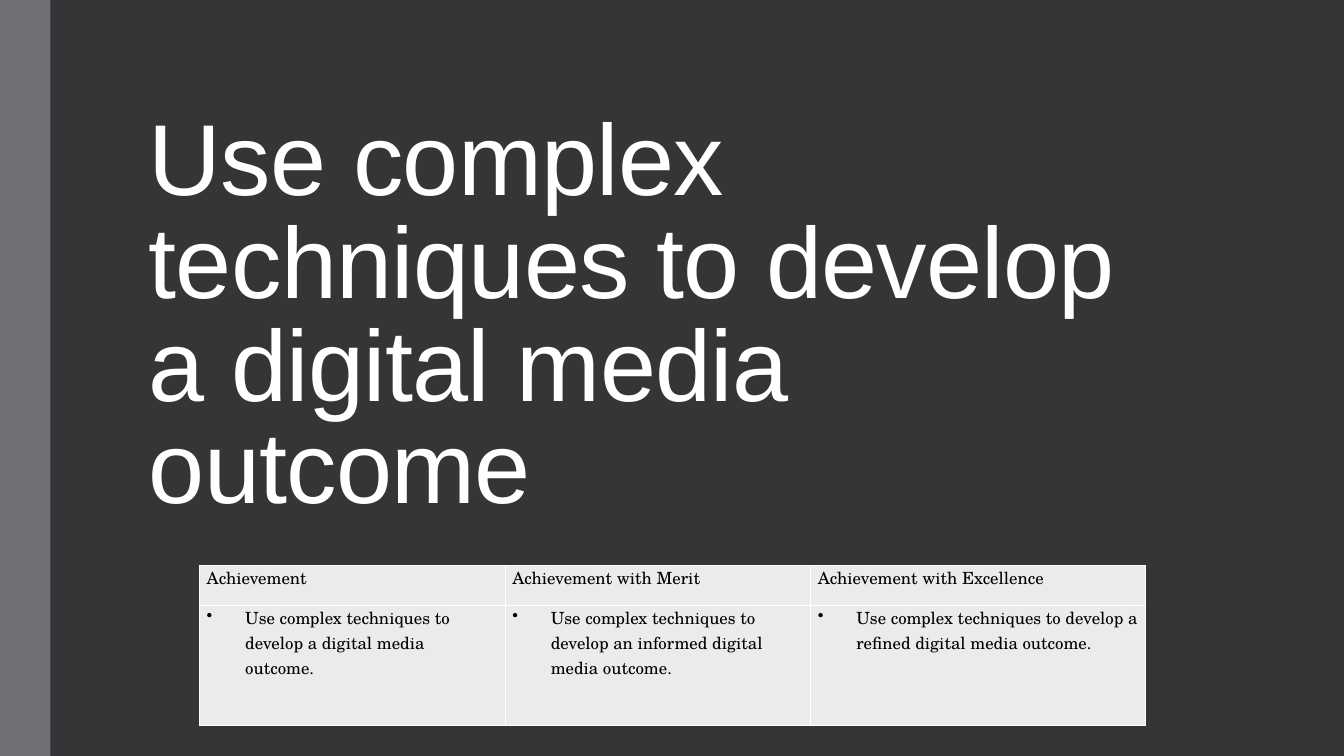
from lxml import etree
from pptx import Presentation
from pptx.dml.color import RGBColor
from pptx.enum.shapes import MSO_SHAPE
from pptx.enum.text import MSO_ANCHOR
from pptx.oxml.ns import qn
from pptx.util import Cm, Pt

RECTANGLE = MSO_SHAPE.RECTANGLE
BOTTOM = MSO_ANCHOR.BOTTOM
BORDER_SIDES = ("a:lnL", "a:lnR", "a:lnT", "a:lnB")


def color(hex_string):
    return RGBColor.from_string(hex_string)


def style_run(run, font_name, size, hex_string):
    run.font.name = font_name
    run.font.size = Pt(size)
    run.font.color.rgb = color(hex_string)


prs = Presentation()
prs.slide_width = Cm(33.87)
prs.slide_height = Cm(19.05)
slide = prs.slides.add_slide(prs.slide_layouts[6])
slide.background.fill.solid()
slide.background.fill.fore_color.rgb = color("353537")

side_bar = slide.shapes.add_shape(RECTANGLE, 0, 0, Cm(1.27), prs.slide_height)
side_bar.shadow.inherit = False
side_bar.fill.solid()
side_bar.fill.fore_color.rgb = color("6F6F74")
side_bar.line.fill.background()

title = slide.shapes.add_textbox(Cm(3.5), Cm(2.11), Cm(26.16), Cm(11.23)).text_frame
title.word_wrap = True
title.vertical_anchor = BOTTOM
title.text = "Use complex techniques to develop a digital media outcome"
heading = title.paragraphs[0]
heading.line_spacing = 0.85
style_run(heading.runs[0], "Arial", 72, "FFFFFF")
heading.runs[0].font._element.set("spc", "-50")

criteria = [
    ("Achievement", "Achievement with Merit", "Achievement with Excellence"),
    (
        "Use complex techniques to develop a digital media outcome.",
        "Use complex techniques to develop an informed digital media outcome.",
        "Use complex techniques to develop a refined digital media outcome.",
    ),
]
column_widths = (7.7, 7.7, 8.43)
row_heights = (1.01, 3.02)
grades = slide.shapes.add_table(
    len(row_heights), len(column_widths),
    Cm(5.03), Cm(14.25), Cm(sum(column_widths)), Cm(sum(row_heights)),
).table
grades.first_row = False
grades.horz_banding = False
for column, width in zip(grades.columns, column_widths):
    column.width = Cm(width)

for row_index, (height, texts) in enumerate(zip(row_heights, criteria)):
    grades.rows[row_index].height = Cm(height)
    for column_index, text in enumerate(texts):
        cell = grades.cell(row_index, column_index)
        cell.margin_left = cell.margin_right = Cm(0.18)
        cell.margin_top = cell.margin_bottom = 0

        cell_properties = cell._tc.get_or_add_tcPr()
        for side in BORDER_SIDES:
            border = etree.SubElement(cell_properties, qn(side), w=str(Pt(1)))
            border_fill = etree.SubElement(border, qn("a:solidFill"))
            etree.SubElement(border_fill, qn("a:srgbClr"), val="FFFFFF")
        cell.fill.solid()
        cell.fill.fore_color.rgb = color("EBEBEB")

        cell.text_frame.text = text
        paragraph = cell.text_frame.paragraphs[0]
        paragraph.space_before = paragraph.space_after = Pt(6)
        style_run(paragraph.runs[0], "TeX Gyre Schola", 12, "000000")
        if row_index == 1:
            bullet_properties = paragraph._p.get_or_add_pPr()
            bullet_properties.set("marL", str(Cm(0.97)))
            bullet_properties.set("indent", str(-Cm(0.97)))
            etree.SubElement(bullet_properties, qn("a:buChar"), char="•")

prs.save("out.pptx")
